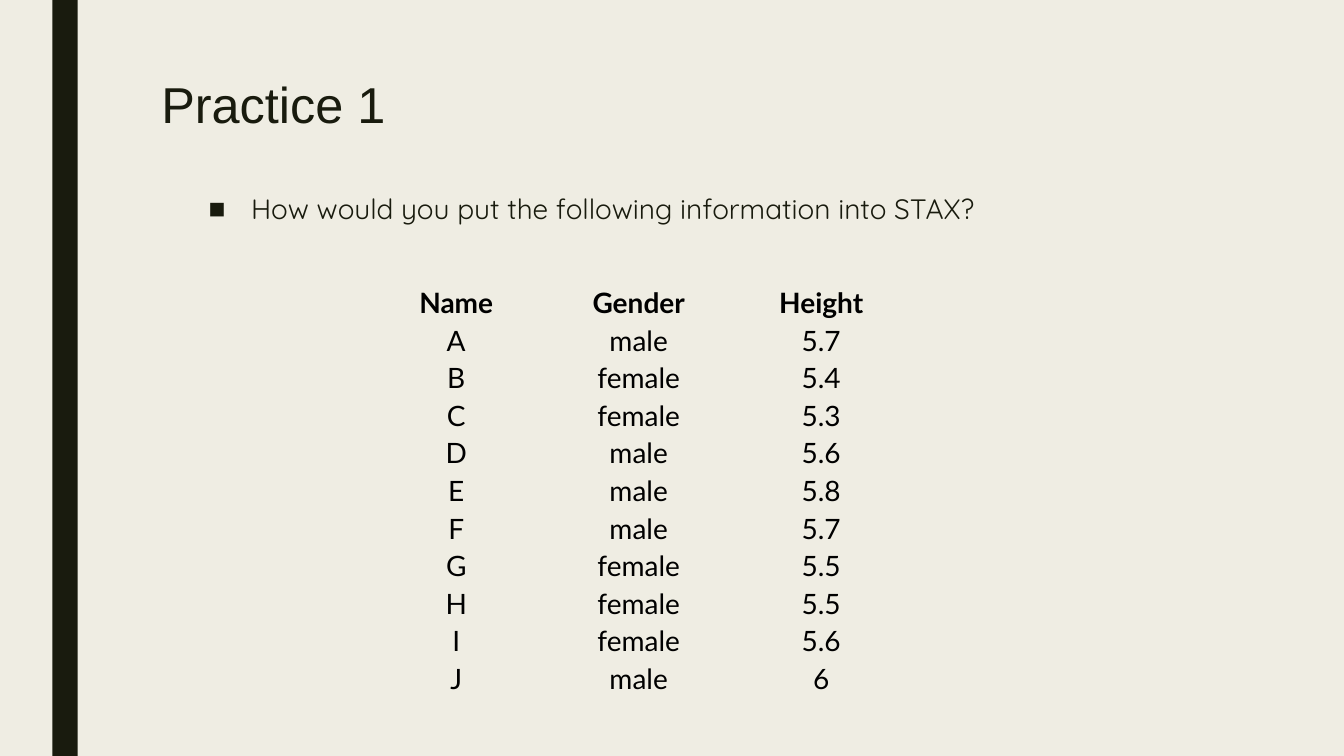
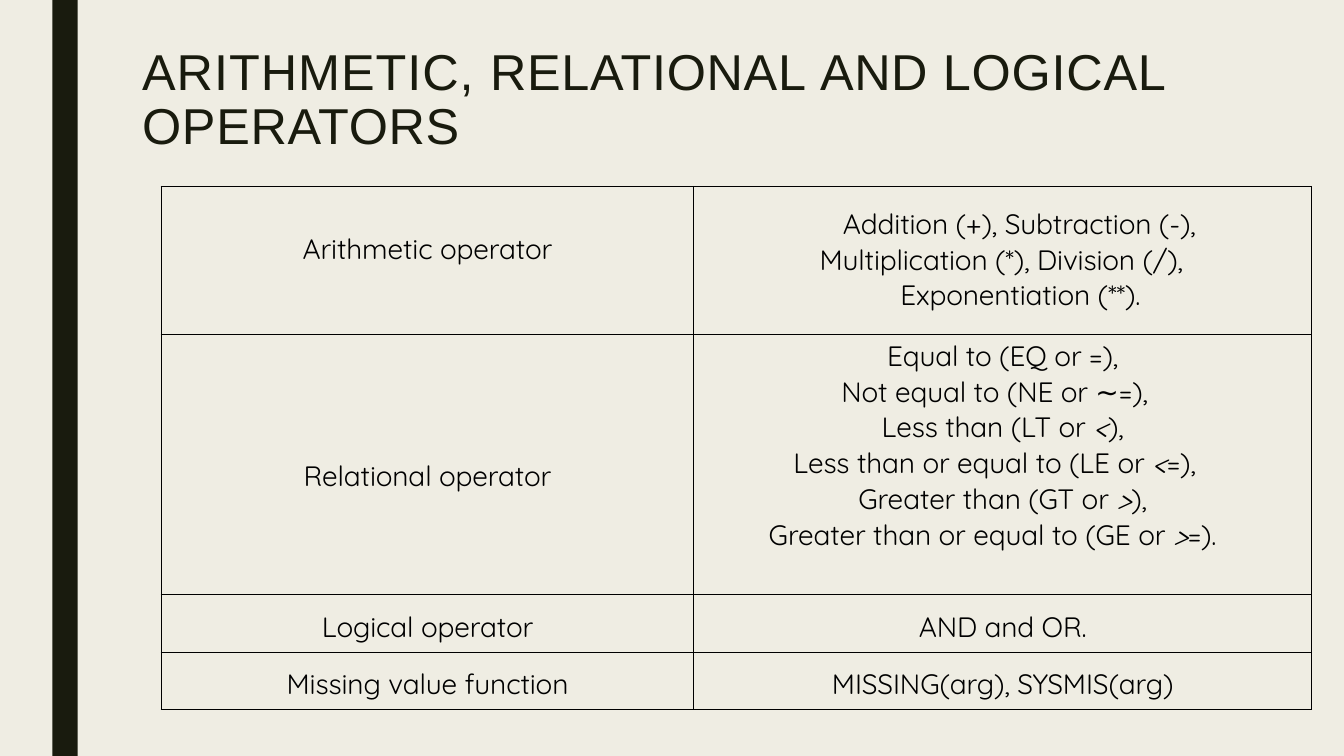
"""Build two lesson slides: a data entry exercise and a table of operators."""
from dataclasses import dataclass
from itertools import groupby

from lxml.etree import SubElement
from pptx import Presentation
from pptx.dml.color import RGBColor
from pptx.enum.shapes import MSO_SHAPE
from pptx.enum.text import MSO_ANCHOR, MSO_AUTO_SIZE, PP_ALIGN
from pptx.oxml import parse_xml
from pptx.oxml.ns import nsdecls, qn
from pptx.util import Inches, Pt


@dataclass(frozen=True)
class Theme:
    paper: RGBColor = RGBColor(0xEF, 0xED, 0xE3)
    ink: RGBColor = RGBColor(0x19, 0x1B, 0x0E)
    black: RGBColor = RGBColor(0, 0, 0)
    title_font: str = "Arial"
    body_font: str = "Quicksand"
    data_font: str = "Lato"
    title_size: int = Pt(36)
    text_size: int = Pt(20)
    border_width: int = Pt(1)
    plain_table_style: str = "{2D5ABB26-0587-4C30-8999-92F81FD0307C}"


THEME = Theme()
TITLE_FORMAT = {"name": THEME.title_font, "size": THEME.title_size}
BODY_FORMAT = {"name": THEME.body_font, "size": THEME.text_size}
DATA_FORMAT = {"name": THEME.data_font, "size": THEME.text_size}

PRACTICE_TITLE = [("Practice 1", 0)]
PRACTICE_QUESTION = "How would you put the following information into STAX?"
PRACTICE_ROWS = [
    ("Name", "Gender", "Height"),
    ("A", "male", "5.7"),
    ("B", "female", "5.4"),
    ("C", "female", "5.3"),
    ("D", "male", "5.6"),
    ("E", "male", "5.8"),
    ("F", "male", "5.7"),
    ("G", "female", "5.5"),
    ("H", "female", "5.5"),
    ("I", "female", "5.6"),
    ("J", "male", "6"),
]

OPERATOR_TITLE = [
    ("ARITHMETIC, ", 0.7),
    ("RELATIONAL ", 0.5),
    ("AND ", 0.4),
    ("LOGICAL ", 0.6),
    ("OPERATORS", 0.5),
]
OPERATOR_ROWS = [
    {
        "height": 1.47,
        "tops": (0.44, 0.19),
        "name": "Arithmetic operator",
        "lines": [
            ("Addition (+), Subtraction (-),", {"marL": 0.33}),
            ("Multiplication (*), Division (/), Exponentiation (**).",
             {"marL": 0.63, "indent": -0.38, "marR": 0.28}),
        ],
    },
    {
        "height": 2.58,
        "tops": (1.22, 0.03),
        "name": "Relational operator",
        "lines": [
            ("Equal to (EQ or =),", {}),
            ("Not equal to (NE or ∼=),", {"marR": 0.16}),
            ("Less than (LT or <),", {"marL": 0.16}),
            ("Less than or equal to (LE or <=),", {"marR": 0.16}),
            ("Greater than (GT or >),", {"marL": 0.16}),
            ("Greater than or equal to (GE or >=).", {"marR": 0.2}),
        ],
    },
    {
        "height": 0.57,
        "tops": (0.14, 0.14),
        "name": "Logical operator",
        "lines": [("AND and OR.", {})],
    },
    {
        "height": 0.57,
        "tops": (0.14, 0.14),
        "name": "Missing value function",
        "lines": [("MISSING(arg), SYSMIS(arg)", {})],
    },
]


def apply_format(target, values):
    for name, value in values.items():
        setattr(target, name, value)


def place(shape, left, top, width, height):
    box = {"left": left, "top": top, "width": width, "height": height}
    apply_format(shape, {name: Inches(value) for name, value in box.items()})


def add_run(paragraph, text, font_format, color, spacing=0):
    run = paragraph.add_run()
    run.text = text
    apply_format(run.font, font_format)
    run.font.color.rgb = color
    if spacing:
        run._r.get_or_add_rPr().set("spc", str(round(spacing * 100)))


def indent_paragraph(paragraph, indents):
    properties = paragraph._p.get_or_add_pPr()
    for name, value in indents.items():
        properties.set(name, str(Inches(value)))
    return properties


def set_title(slide, pieces, box):
    title = slide.shapes.title
    place(title, *box)
    frame = title.text_frame
    apply_format(frame, {"vertical_anchor": MSO_ANCHOR.TOP, "word_wrap": True,
                         "auto_size": MSO_AUTO_SIZE.NONE})
    paragraph = frame.paragraphs[0]
    apply_format(paragraph, {"alignment": PP_ALIGN.LEFT, "line_spacing": 0.89})
    for text, spacing in pieces:
        add_run(paragraph, text, TITLE_FORMAT, THEME.ink, spacing)


def start_slide(presentation, layout_name, title_pieces, title_box):
    layout = presentation.slide_layouts.get_by_name(layout_name)
    slide = presentation.slides.add_slide(layout)
    band = slide.shapes.add_shape(
        MSO_SHAPE.RECTANGLE, Inches(0.52), 0, Inches(0.25), presentation.slide_height)
    band.shadow.inherit = False
    band.fill.solid()
    band.fill.fore_color.rgb = THEME.ink
    band.line.fill.background()
    set_title(slide, title_pieces, title_box)
    return slide


def set_question(slide):
    body = slide.placeholders[1]
    place(body, 1.97, 1.88, 10.03, 5.19)
    body.text_frame.auto_size = MSO_AUTO_SIZE.NONE
    paragraph = body.text_frame.paragraphs[0]
    apply_format(paragraph, {"line_spacing": 0.94, "space_before": Pt(10),
                             "space_after": Pt(2)})
    add_run(paragraph, PRACTICE_QUESTION, BODY_FORMAT, THEME.ink)
    properties = indent_paragraph(paragraph, {"marL": 0.42, "indent": -0.42})
    SubElement(properties, qn("a:buFont")).set("typeface", "Arial")
    SubElement(properties, qn("a:buChar")).set("char", "■")


def add_plain_table(slide, left, top, widths, heights):
    frame = slide.shapes.add_table(
        len(heights), len(widths), Inches(left), Inches(top),
        Inches(sum(widths)), Inches(sum(heights)))
    table = frame.table
    apply_format(table, {"first_row": False, "horz_banding": False})
    frame.element.xpath(".//a:tableStyleId")[0].text = THEME.plain_table_style
    for column, width in zip(table.columns, widths):
        column.width = Inches(width)
    for row, height in zip(table.rows, heights):
        row.height = Inches(height)
    for cell in table.iter_cells():
        cell.fill.background()
    return table


def add_borders(cell):
    properties = cell._tc.get_or_add_tcPr()
    for position, side in enumerate("LRTB"):
        properties.insert(position, parse_xml(
            f'<a:ln{side} {nsdecls("a")} w="{THEME.border_width}"><a:solidFill>'
            f'<a:srgbClr val="{THEME.black}"/></a:solidFill></a:ln{side}>'))


def fill_practice_table(slide):
    count = len(PRACTICE_ROWS)
    table = add_plain_table(slide, 3.62, 2.8, [1.81] * 3, [4.1 / count] * count)
    for row_index, values in enumerate(PRACTICE_ROWS):
        for column_index, value in enumerate(values):
            cell = table.cell(row_index, column_index)
            apply_format(cell, {"margin_left": 0, "margin_right": 0, "margin_top": 0,
                                "margin_bottom": 0, "vertical_anchor": MSO_ANCHOR.BOTTOM})
            paragraph = cell.text_frame.paragraphs[0]
            paragraph.alignment = PP_ALIGN.CENTER
            add_run(paragraph, value, DATA_FORMAT | {"bold": row_index == 0}, THEME.black)


def fill_operator_cell(cell, lines, top):
    apply_format(cell, {"margin_top": Inches(top), "margin_bottom": 0,
                        "vertical_anchor": MSO_ANCHOR.TOP})
    add_borders(cell)
    frame = cell.text_frame
    for index, (text, indents) in enumerate(lines):
        paragraph = frame.add_paragraph() if index else frame.paragraphs[0]
        apply_format(paragraph, {"alignment": PP_ALIGN.CENTER, "line_spacing": 1.02})
        indent_paragraph(paragraph, indents)
        for is_symbol, letters in groupby(text, key=lambda letter: letter in "<>"):
            add_run(paragraph, "".join(letters), BODY_FORMAT | {"italic": is_symbol},
                    THEME.black, -0.2 if is_symbol else -0.1)


def fill_operator_table(slide):
    heights = [row["height"] for row in OPERATOR_ROWS]
    table = add_plain_table(slide, 1.6, 1.85, [5.28, 6.13], heights)
    for row_index, row in enumerate(OPERATOR_ROWS):
        columns = ([(row["name"], {})], row["lines"])
        for column_index, (lines, top) in enumerate(zip(columns, row["tops"])):
            fill_operator_cell(table.cell(row_index, column_index), lines, top)


def main():
    presentation = Presentation()
    presentation.slide_width = Inches(13.33)
    presentation.slide_height = Inches(7.5)
    background = presentation.slide_master.background.fill
    background.solid()
    background.fore_color.rgb = THEME.paper

    practice = start_slide(presentation, "Title and Content", PRACTICE_TITLE,
                           (1.5, 0.75, 10.5, 1.13))
    set_question(practice)
    fill_practice_table(practice)

    operators = start_slide(presentation, "Title Only", OPERATOR_TITLE,
                            (1.31, 0.42, 11.1, 1.03))
    fill_operator_table(operators)

    presentation.save("out.pptx")


if __name__ == "__main__":
    main()
